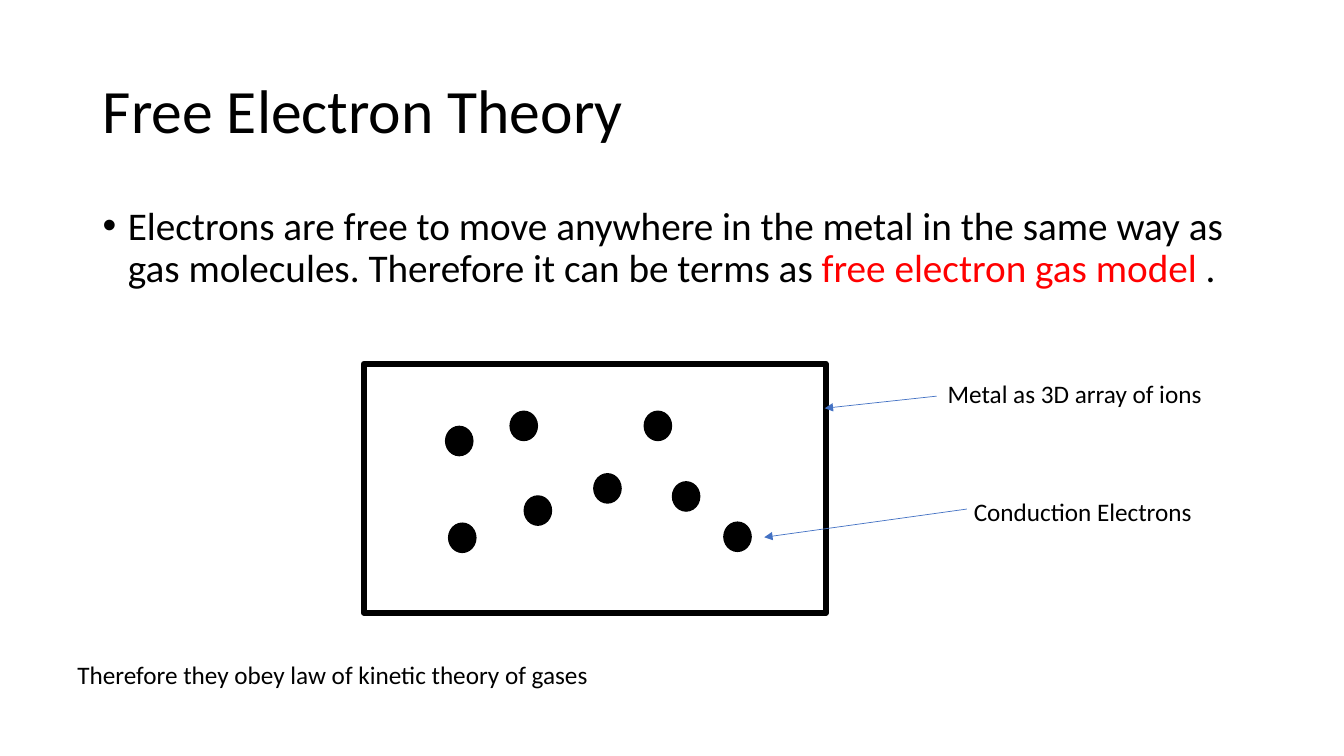
from pptx import Presentation
from pptx.dml.color import RGBColor
from pptx.enum.shapes import MSO_CONNECTOR, MSO_SHAPE
from pptx.enum.text import MSO_ANCHOR, PP_ALIGN
from pptx.oxml.ns import qn
from pptx.util import Inches, Pt
from lxml.etree import SubElement

BLACK = RGBColor(0x00, 0x00, 0x00)
WHITE = RGBColor(0xFF, 0xFF, 0xFF)
RED = RGBColor(0xFF, 0x00, 0x00)
BLUE = RGBColor(0x44, 0x72, 0xC4)


def add_run(paragraph, text, size=18, color=BLACK):
    run = paragraph.add_run()
    run.text = text
    run.font.name = "Calibri"
    run.font.size = Pt(size)
    run.font.color.rgb = color


def add_solid_shape(kind, left, top, width, height, fill, line_width):
    shape = slide.shapes.add_shape(
        kind, Inches(left), Inches(top), Inches(width), Inches(height))
    shape.shadow.inherit = False
    shape.fill.solid()
    shape.fill.fore_color.rgb = fill
    shape.line.color.rgb = BLACK
    shape.line.width = Pt(line_width)


presentation = Presentation()
presentation.slide_width = Inches(13.33)
presentation.slide_height = Inches(7.5)
slide = presentation.slides.add_slide(presentation.slide_layouts[5])

# Title
title = slide.shapes.title
title.left, title.top = Inches(0.92), Inches(0.4)
title.width, title.height = Inches(11.5), Inches(1.45)
title.text_frame.vertical_anchor = MSO_ANCHOR.MIDDLE
paragraph = title.text_frame.paragraphs[0]
paragraph.alignment = PP_ALIGN.LEFT
paragraph.line_spacing = 0.9
add_run(paragraph, "Free Electron Theory", size=44)

# Bulleted statement
body = slide.shapes.add_textbox(
    Inches(0.92), Inches(2), Inches(11.5), Inches(4.76))
body.text_frame.word_wrap = True
paragraph = body.text_frame.paragraphs[0]
paragraph.line_spacing = 0.9
paragraph.space_before = Pt(10)
properties = paragraph._p.get_or_add_pPr()
properties.set("marL", str(Inches(0.25)))
properties.set("indent", str(Inches(-0.25)))
SubElement(properties, qn("a:buFont")).set("typeface", "Arial")
SubElement(properties, qn("a:buChar")).set("char", "\u2022")
add_run(paragraph, "Electrons are free to move anywhere in the metal in the same "
        "way as gas molecules. Therefore it can be terms as ", size=28)
add_run(paragraph, "free electron gas model ", size=28, color=RED)
add_run(paragraph, ".", size=28)

# Metal block with its electrons
add_solid_shape(MSO_SHAPE.RECTANGLE, 3.61, 3.61, 4.58, 2.47, WHITE, 4.5)
electrons = [(4.42, 4.23), (5.06, 4.08), (5.2, 4.92), (7.18, 5.18),
             (6.39, 4.08), (4.45, 5.19), (5.89, 4.7), (6.67, 4.78)]
for left, top in electrons:
    add_solid_shape(MSO_SHAPE.OVAL, left, top, 0.27, 0.29, BLACK, 1)

# Arrows from the labels
for start_x, start_y, end_x, end_y in [(9.59, 5.05, 7.58, 5.33),
                                       (9.29, 3.93, 8.18, 4.05)]:
    arrow = slide.shapes.add_connector(
        MSO_CONNECTOR.STRAIGHT, Inches(start_x), Inches(start_y),
        Inches(end_x), Inches(end_y))
    arrow.line.color.rgb = BLUE
    arrow.line.width = Pt(0.5)
    SubElement(arrow.line._get_or_add_ln(), qn("a:tailEnd")).set("type", "triangle")
    SubElement(arrow._element.spPr, qn("a:effectLst"))

# Labels and conclusion
labels = [
    ("Conduction Electrons", 9.56, 4.87, 2.39),
    ("Therefore they obey law of kinetic theory of gases", 0.67, 6.49, 5.33),
    ("Metal as 3D array of ions", 9.3, 3.7, 2.75),
]
for text, left, top, width in labels:
    label = slide.shapes.add_textbox(
        Inches(left), Inches(top), Inches(width), Inches(0.4))
    label.text_frame.word_wrap = False
    add_run(label.text_frame.paragraphs[0], text)

presentation.save("out.pptx")
